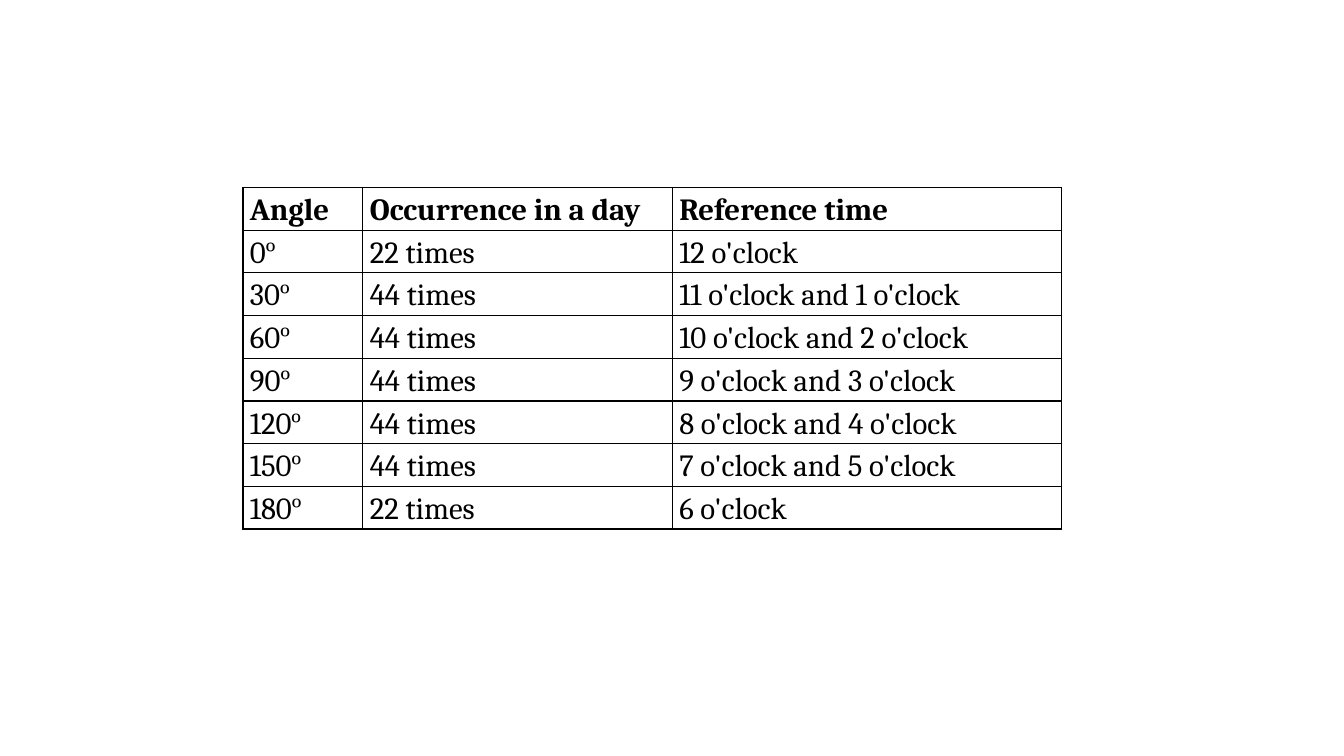
from dataclasses import dataclass
from typing import Any

from lxml import etree
from pptx import Presentation
from pptx import util as u
from pptx.dml.color import RGBColor
from pptx.enum import text
from pptx.oxml import ns

BLACK = RGBColor(0x00, 0x00, 0x00)
WHITE = RGBColor(0xFF, 0xFF, 0xFF)
COLUMNS, ROWS = 133.33, 75  # grid of tenths of an inch
DEGREE = "º"

HEADINGS = ["Angle", "Occurrence in a day", "Reference time"]
ANGLES = [
    ["0º", "22 times", "12 o'clock"],
    ["30º", "44 times", "11 o'clock and 1 o'clock"],
    ["60º", "44 times", "10 o'clock and 2 o'clock"],
    ["90º", "44 times", "9 o'clock and 3 o'clock"],
    ["120º", "44 times", "8 o'clock and 4 o'clock"],
    ["150º", "44 times", "7 o'clock and 5 o'clock"],
    ["180º", "22 times", "6 o'clock"],
]


def grid(cells):
    """Turn a number of grid columns or rows into a length."""
    return u.Inches(cells / 10)


def add_text(para, content, *, font, size, color=BLACK, bold=False):
    span = para.add_run()
    span.text = content
    span.font.name = font
    span.font.size = u.Pt(size)
    span.font.bold = bold
    span.font.color.rgb = color


@dataclass
class ClockSlide:
    page: Any
    font: str = "Cambria"
    degree_font: str = "Times New Roman"
    size: int = 22
    border: int = 1

    def table(self, left, top, widths, row_height, records):
        frame = self.page.shapes.add_table(
            len(records), len(widths), grid(left), grid(top),
            grid(sum(widths)), grid(row_height * len(records)))
        table = frame.table
        table.horz_banding = False
        for column, width in zip(table.columns, widths):
            column.width = grid(width)
        for index, record in enumerate(records):
            table.rows[index].height = grid(row_height)
            for column, content in enumerate(record):
                self.cell(table.cell(index, column), content, bold=index == 0)

    def cell(self, cell, content, bold):
        cell.margin_left = cell.margin_right = u.Inches(0.07)
        cell.margin_top = cell.margin_bottom = 0
        self.borders(cell)
        cell.fill.solid()
        cell.fill.fore_color.rgb = WHITE
        para = cell.text_frame.paragraphs[0]
        para.alignment = text.PP_ALIGN.JUSTIFY
        para.line_spacing = 1.15
        para.space_before = para.space_after = u.Pt(1)
        label, sign, _ = content.partition(DEGREE)
        add_text(para, label, font=self.font, size=self.size, bold=bold)
        if sign:
            add_text(para, sign, font=self.degree_font, size=self.size)

    def borders(self, cell):
        """Rule all four sides; must run before the cell's fill is set."""
        properties = cell._tc.get_or_add_tcPr()
        for side in ("a:lnL", "a:lnR", "a:lnT", "a:lnB"):
            line = etree.SubElement(properties, ns.qn(side), w=str(u.Pt(self.border)))
            fill = etree.SubElement(line, ns.qn("a:solidFill"))
            etree.SubElement(fill, ns.qn("a:srgbClr"), val=str(BLACK))


def main():
    deck = Presentation()
    deck.slide_width, deck.slide_height = grid(COLUMNS), grid(ROWS)
    blank = deck.slide_layouts[6]
    slide = ClockSlide(deck.slides.add_slide(blank))
    slide.table(24.1, 18.6, [11.9, 30.7, 38.6], 4.24, [HEADINGS, *ANGLES])
    deck.save("out.pptx")


if __name__ == "__main__":
    main()
